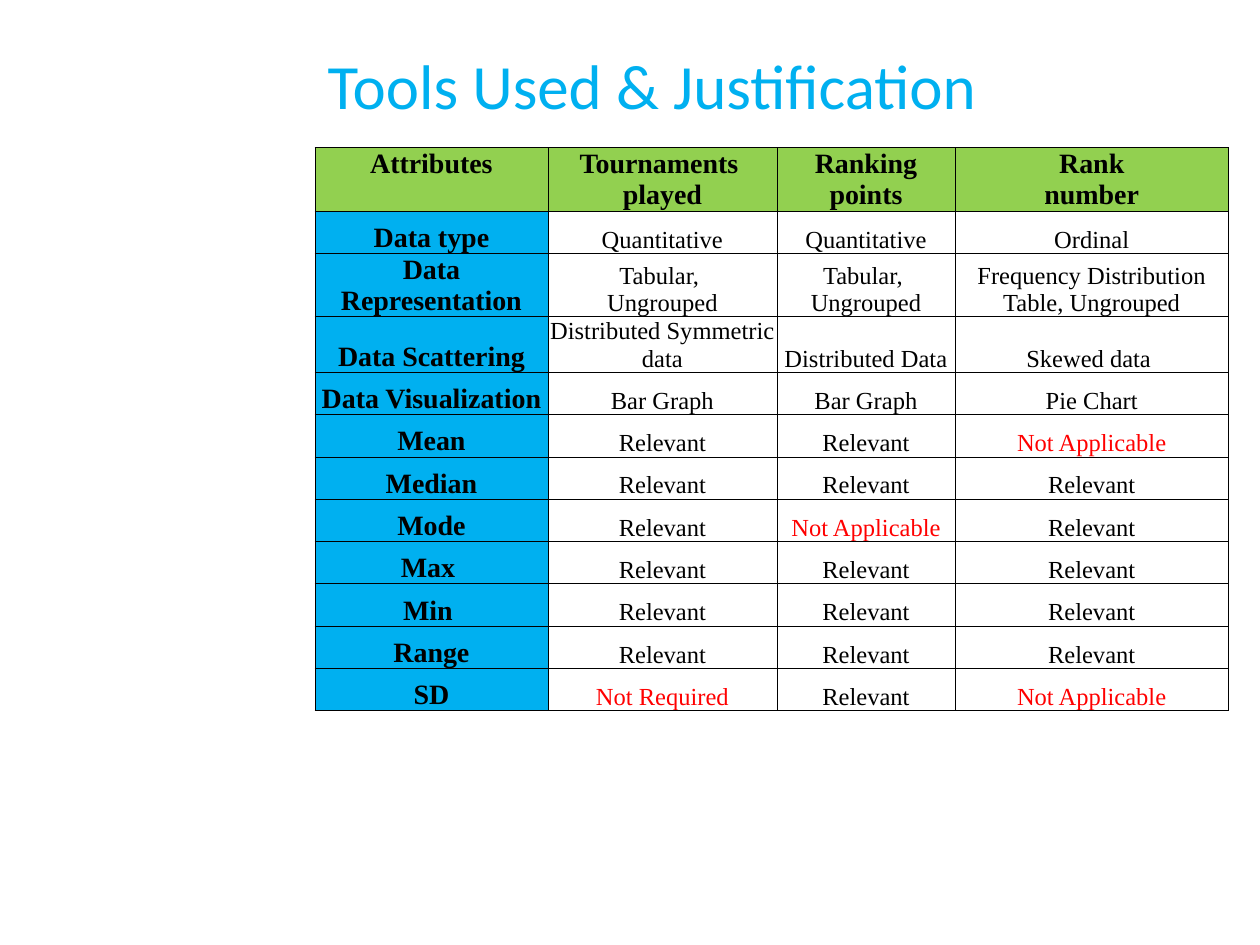
from lxml.etree import SubElement
from pptx import Presentation
from pptx.dml.color import RGBColor
from pptx.enum.text import MSO_ANCHOR, PP_ALIGN
from pptx.oxml.ns import qn
from pptx.util import Pt

BLACK = RGBColor(0x00, 0x00, 0x00)
RED = RGBColor(0xFF, 0x00, 0x00)
BLUE = RGBColor(0x00, 0xB0, 0xF0)
GREEN = RGBColor(0x92, 0xD0, 0x50)

LABEL_FONT = {"name": "Times New Roman", "size": Pt(16), "bold": True}
VALUE_FONT = {"name": "Times New Roman", "size": Pt(14), "bold": False}
TITLE_FONT = {"name": "Calibri", "size": Pt(36), "bold": False}
TITLE_BOX = {"left": Pt(180), "top": Pt(18), "width": Pt(493.2), "height": Pt(60.5)}
CELL_LAYOUT = {
    "margin_left": Pt(0.72),
    "margin_right": Pt(0.72),
    "margin_top": Pt(0.72),
    "margin_bottom": Pt(0),
    "vertical_anchor": MSO_ANCHOR.BOTTOM,
}

COLUMN_WIDTHS = [133.1, 130.9, 101.8, 156.2]
HEADER_HEIGHT = 21.6
ROW_HEIGHT = 24.18
ATTRIBUTES = [
    ["Attributes", "Tournaments \nplayed", "Ranking\npoints", "Rank\nnumber"],
    ["Data type", "Quantitative", "Quantitative", "Ordinal"],
    ["Data Representation", "Tabular, \nUngrouped", "Tabular, \nUngrouped",
     "Frequency Distribution Table, Ungrouped"],
    ["Data Scattering", "Distributed Symmetric data", "Distributed Data", "Skewed data "],
    ["Data Visualization", "Bar Graph", "Bar Graph", "Pie Chart"],
    ["Mean", "Relevant", "Relevant", "Not Applicable"],
    ["Median", "Relevant", "Relevant", "Relevant"],
    ["Mode", "Relevant", "Not Applicable", "Relevant"],
    ["Max ", "Relevant", "Relevant", "Relevant"],
    ["Min ", "Relevant", "Relevant", "Relevant"],
    ["Range", "Relevant", "Relevant", "Relevant"],
    ["SD", "Not Required", "Relevant", "Not Applicable"],
]


def apply_format(target, values):
    for attribute, value in values.items():
        setattr(target, attribute, value)


def add_borders(cell):
    properties = cell._tc.get_or_add_tcPr()
    for side in ("a:lnL", "a:lnR", "a:lnT", "a:lnB"):
        border = SubElement(properties, qn(side), w=str(Pt(0.5)))
        fill = SubElement(border, qn("a:solidFill"))
        SubElement(fill, qn("a:srgbClr"), val=str(BLACK))


presentation = Presentation()
presentation.slide_width = Pt(720)
presentation.slide_height = Pt(540)
slide = presentation.slides.add_slide(presentation.slide_layouts[5])

heading = slide.shapes.title
apply_format(heading, TITLE_BOX)
heading.text_frame.text = "Tools Used & Justification"
heading.text_frame.vertical_anchor = MSO_ANCHOR.MIDDLE
heading_line = heading.text_frame.paragraphs[0]
heading_line.alignment = PP_ALIGN.LEFT
apply_format(heading_line.runs[0].font, TITLE_FONT)
heading_line.runs[0].font.color.rgb = BLUE

tools = slide.shapes.add_table(
    len(ATTRIBUTES), len(COLUMN_WIDTHS), Pt(180), Pt(84.3), Pt(522), Pt(330.5)
).table
for column, width in zip(tools.columns, COLUMN_WIDTHS):
    column.width = Pt(width)

for row_index, values in enumerate(ATTRIBUTES):
    is_header = row_index == 0
    tools.rows[row_index].height = Pt(HEADER_HEIGHT if is_header else ROW_HEIGHT)
    for column_index, value in enumerate(values):
        is_label = is_header or column_index == 0
        cell = tools.cell(row_index, column_index)
        apply_format(cell, CELL_LAYOUT)
        add_borders(cell)
        if is_label:
            cell.fill.solid()
            cell.fill.fore_color.rgb = GREEN if is_header else BLUE
        else:
            cell.fill.background()
        cell.text = value
        for line in cell.text_frame.paragraphs:
            line.alignment = PP_ALIGN.CENTER
            font = line.runs[0].font
            apply_format(font, LABEL_FONT if is_label else VALUE_FONT)
            font.color.rgb = RED if value.startswith("Not ") else BLACK

tools.cell(0, 0).vertical_anchor = MSO_ANCHOR.TOP

presentation.save("out.pptx")
